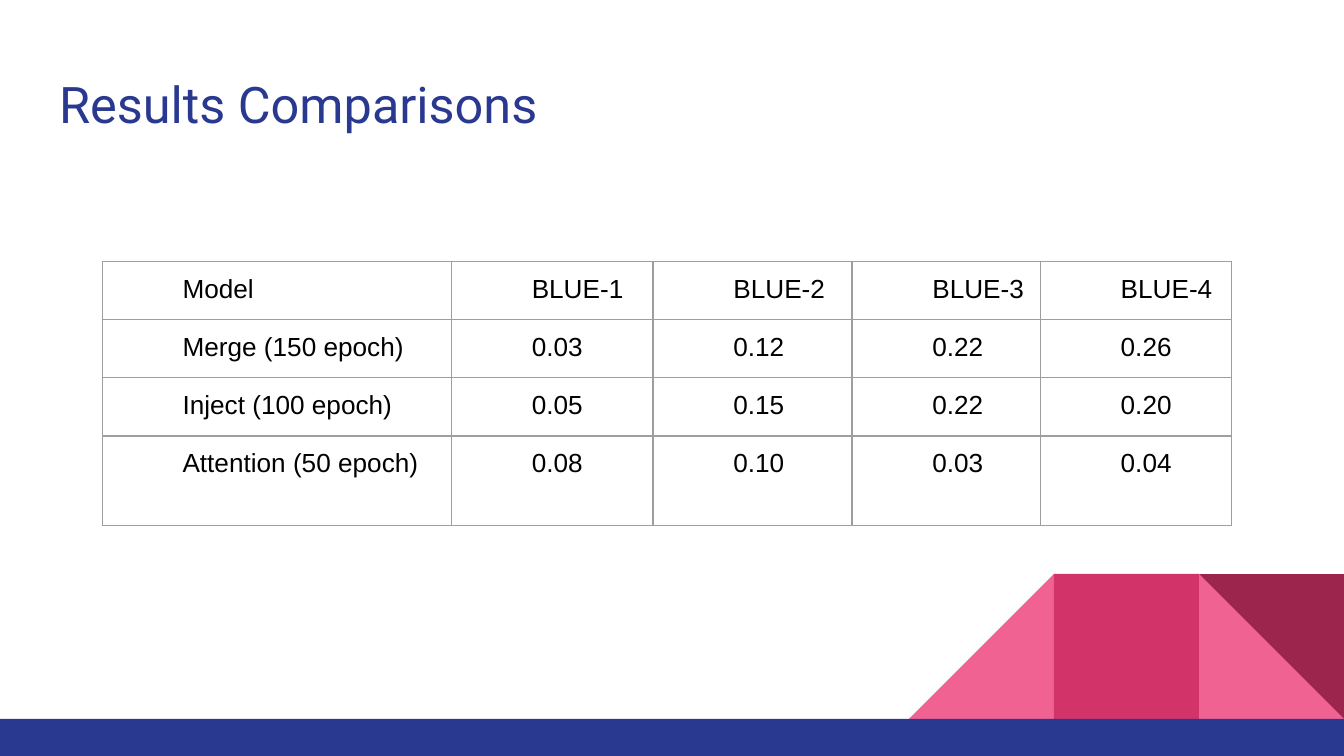
import pptx
import pptx.util
import pptx.dml.color
import pptx.enum.shapes
import pptx.enum.text
import pptx.oxml
import pptx.oxml.ns

Cm = pptx.util.Cm
Pt = pptx.util.Pt
Kind = pptx.enum.shapes.MSO_SHAPE

hues = {
    "navy": "2A3990",
    "pink": "F06292",
    "rose": "D23369",
    "wine": "9C254D",
    "grid": "9E9E9E",
    "ink": "000000",
}


def paint(hue):
    return pptx.dml.color.RGBColor.from_string(hues[hue])


def write(para, text, font, size, hue):
    run = para.add_run()
    run.text = text
    run.font.name = font
    run.font.size = Pt(size)
    run.font.color.rgb = paint(hue)


# Slide
deck = pptx.Presentation()
deck.slide_width = Cm(25.4)
deck.slide_height = Cm(14.29)
slide = deck.slides.add_slide(deck.slide_layouts[6])

# Corner tiles, counted from the right edge, and the bottom bar
tile = 2.74
base = 13.59
right = 25.4
top = base - tile
parts = [
    (Kind.RIGHT_TRIANGLE, right - tile, top, tile, tile, "pink", False, 0),
    (Kind.RIGHT_TRIANGLE, right - 3 * tile, top, tile, tile, "pink", True, 0),
    (Kind.RECTANGLE, right - 2 * tile, top, tile, tile, "rose", False, 0),
    (Kind.RIGHT_TRIANGLE, right - tile, top, tile, tile, "wine", False, 180),
    (Kind.RECTANGLE, 0, base, right, 0.7, "navy", False, 0),
]
for kind, x, y, wide, high, hue, flip, turn in parts:
    shape = slide.shapes.add_shape(kind, Cm(x), Cm(y), Cm(wide), Cm(high))
    shape.shadow.inherit = False
    shape.fill.solid()
    shape.fill.fore_color.rgb = paint(hue)
    shape.line.fill.background()
    shape.rotation = turn
    if flip:
        shape._element.spPr.xfrm.set("flipH", "1")

# Title
inset = Cm(0.25)
title = slide.shapes.add_textbox(Cm(0.87), Cm(1.14), Cm(23.67), Cm(1.68))
frame = title.text_frame
frame.word_wrap = True
frame.margin_left = frame.margin_right = inset
frame.margin_top = frame.margin_bottom = inset
frame.vertical_anchor = pptx.enum.text.MSO_ANCHOR.TOP
write(frame.paragraphs[0], "Results Comparisons", "Roboto", 27, "navy")

# Score table
rows = [
    ["Model", "BLUE-1", "BLUE-2", "BLUE-3", "BLUE-4"],
    ["Merge (150 epoch)", "0.03", "0.12", "0.22", "0.26"],
    ["Inject (100 epoch)", "0.05", "0.15", "0.22", "0.20"],
    ["Attention (50 epoch)", "0.08", "0.10", "0.03", "0.04"],
]
widths = [6.6, 3.81, 3.76, 3.56, 3.61]
heights = [1.1, 1.1, 1.1, 1.7]
holder = slide.shapes.add_table(
    len(rows), len(widths), Cm(1.93), Cm(4.94), Cm(sum(widths)), Cm(sum(heights))
)
table = holder.table
table.first_row = False
table.horz_banding = False
for col, wide in zip(table.columns, widths):
    col.width = Cm(wide)
for row, high in zip(table.rows, heights):
    row.height = Cm(high)

for r, texts in enumerate(rows):
    for c, text in enumerate(texts):
        cell = table.cell(r, c)
        cell.margin_left = cell.margin_right = inset
        cell.margin_top = cell.margin_bottom = inset
        para = cell.text_frame.paragraphs[0]
        para._p.get_or_add_pPr().set("marL", str(Cm(1.27)))
        write(para, text, "Arial", 14, "ink")
        # Borders come before the fill in the cell's properties
        props = cell._tc.get_or_add_tcPr()
        for side in ("lnL", "lnR", "lnT", "lnB"):
            props.append(pptx.oxml.parse_xml(
                f'<a:{side} {pptx.oxml.ns.nsdecls("a")} w="{Pt(0.75)}"><a:solidFill>'
                f'<a:srgbClr val="{hues["grid"]}"/></a:solidFill></a:{side}>'
            ))
        cell.fill.background()

deck.save("out.pptx")
